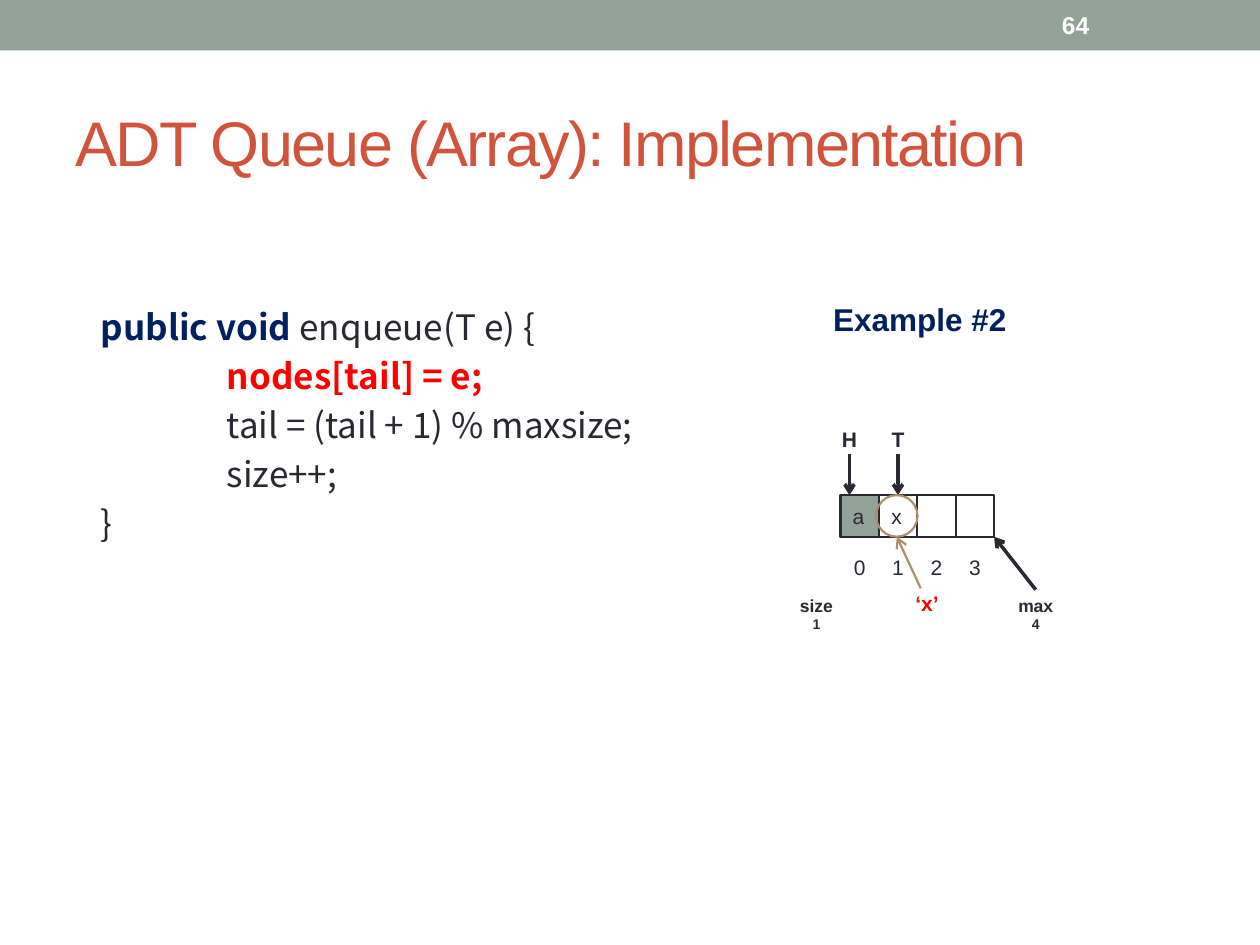
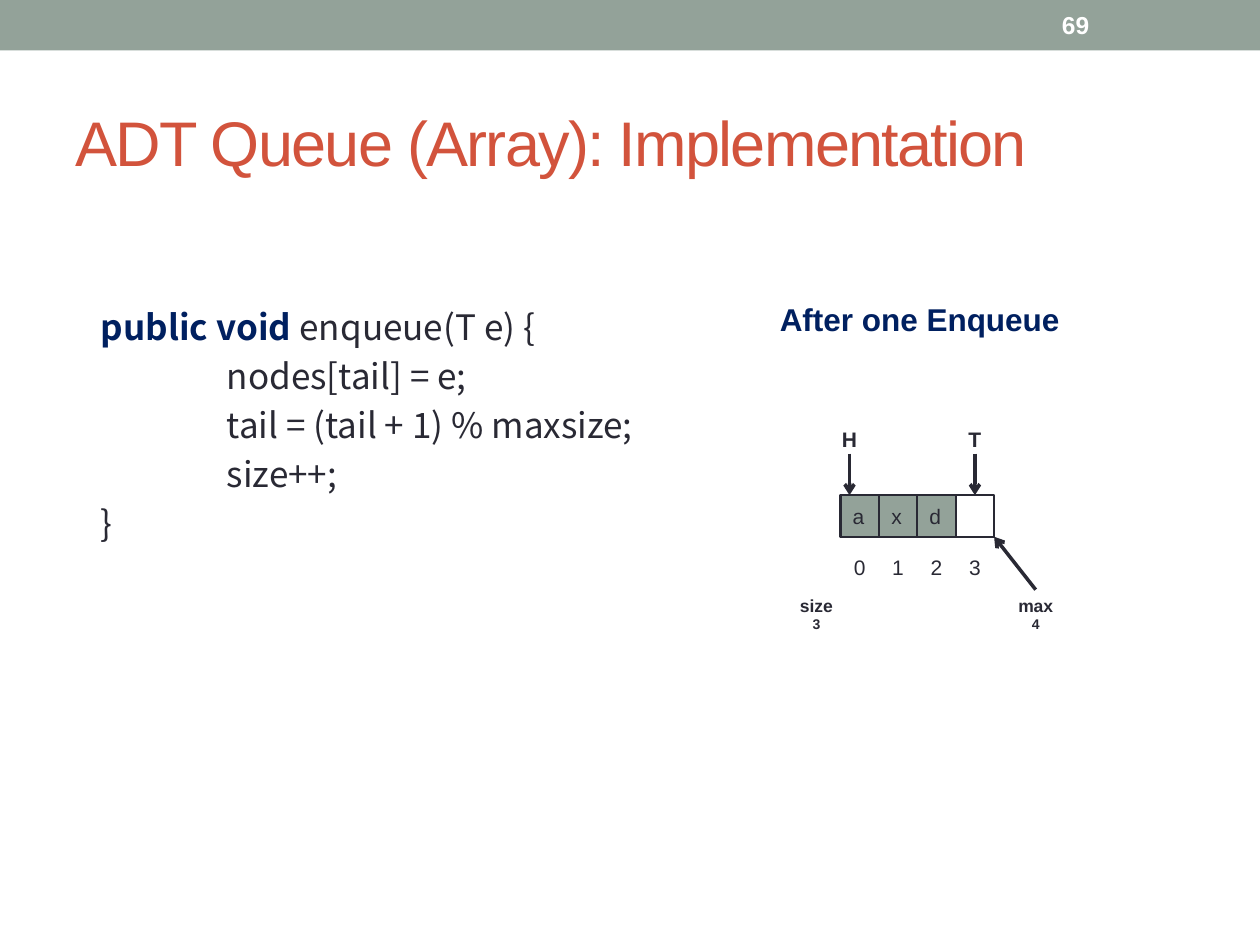
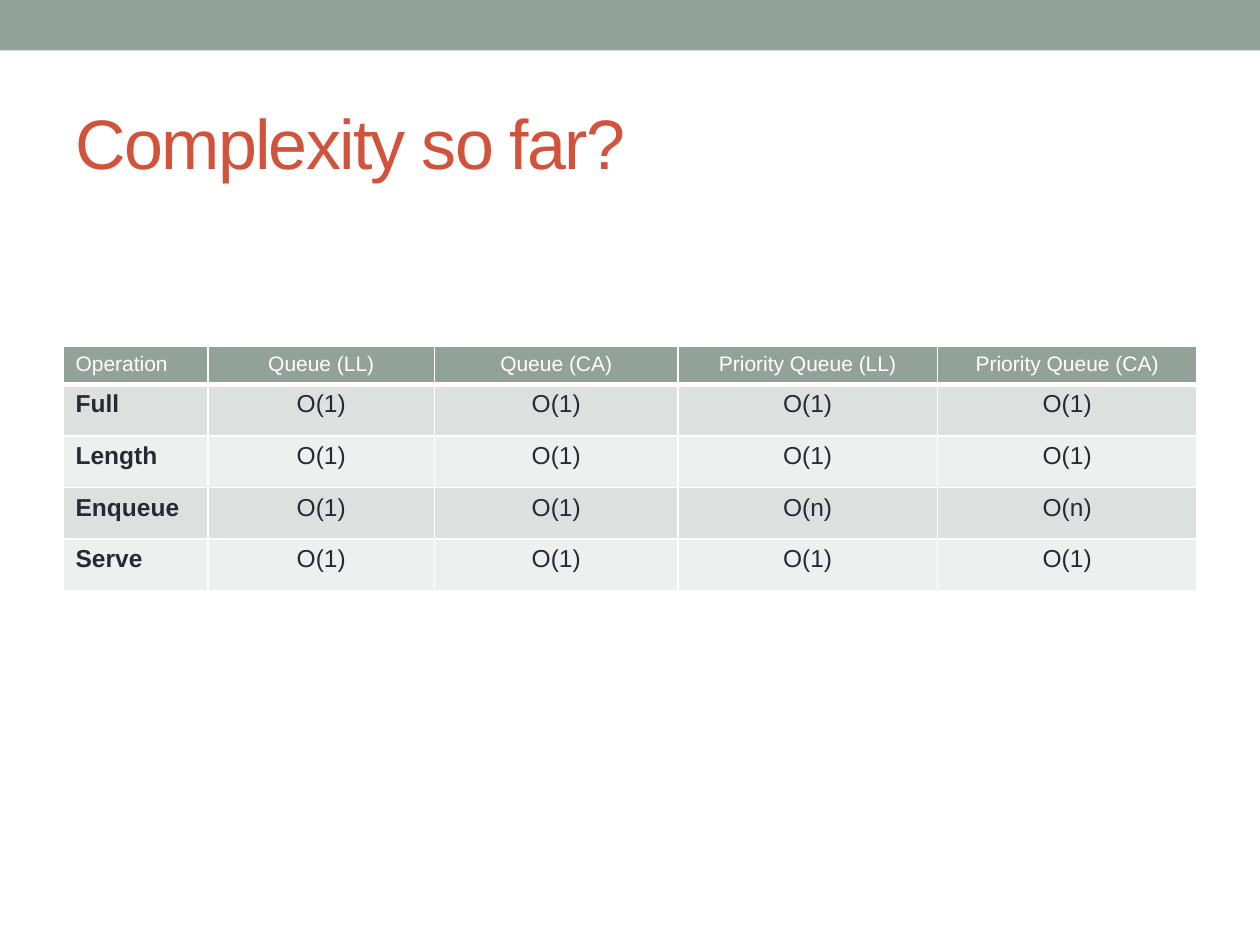
"""Build three lecture slides on array queues and their complexity."""
from dataclasses import dataclass

from lxml import etree
from pptx import Presentation
from pptx import util as u
from pptx.dml.color import RGBColor
from pptx.enum import shapes, text
from pptx.oxml.ns import qn


@dataclass(frozen=True)
class Theme:
    sage: str = "93A299"
    ink: str = "292934"
    rust: str = "D2533C"
    navy: str = "002060"
    red: str = "FF0000"
    tan: str = "AD8F67"
    white: str = "FFFFFF"
    bands: tuple = ("DCE0DE", "EEF0EF")
    font: str = "Arial"
    code_font: str = "Noto Sans CJK SC"
    code: int = 20
    code_pitch: int = 28
    heading: int = 18
    body: int = 14
    label: int = 12
    caption: int = 10
    count: int = 8
    thin: float = 1.25
    thick: float = 2


T = Theme()
W, H = 10, 7.5
MARGIN = W / 20
CENTER, LEFT = text.PP_ALIGN.CENTER, text.PP_ALIGN.LEFT

CODE = [
    (0, "public void ", "enqueue(T e) {"),
    (1, "", "nodes[tail] = e;"),
    (1, "", "tail = (tail + 1) % maxsize;"),
    (1, "", "size++;"),
    (0, "", "}"),
]
QUEUES = [
    dict(number="64", heading="Example #2", items=["a", "x"], filled=1, tail=1,
         size="1", active=1, incoming="‘x’"),
    dict(number="69", heading="After one Enqueue", items=["a", "x", "d"], filled=3,
         tail=3, size="3", active=None, incoming=None),
]
MAX_SIZE = 4
COMPLEXITY = [
    ["Operation", "Queue (LL)", "Queue (CA)", "Priority Queue (LL)", "Priority Queue (CA)"],
    ["Full", "O(1)", "O(1)", "O(1)", "O(1)"],
    ["Length", "O(1)", "O(1)", "O(1)", "O(1)"],
    ["Enqueue", "O(1)", "O(1)", "O(n)", "O(n)"],
    ["Serve", "O(1)", "O(1)", "O(1)", "O(1)"],
]
COL_WIDTHS = [1.15, 1.8, 1.93, 2.06, 2.06]
ROW_HEIGHTS = [0.3] + [0.41] * 4

ARRAY_X, ARRAY_Y = 6.67, 3.93
CELL_W, CELL_H = 0.305, 0.33
ARRAY_RIGHT, ARRAY_BOTTOM = ARRAY_X + MAX_SIZE * CELL_W, ARRAY_Y + CELL_H


def rgb(color):
    return RGBColor.from_string(color)


def inches(*values):
    return [u.Inches(v) for v in values]


def style(r, size, color, bold=False, font=T.font):
    r.font.size, r.font.bold, r.font.name = u.Pt(size), bold, font
    r.font.color.rgb = rgb(color)


def place(sp, *box):
    sp.left, sp.top, sp.width, sp.height = inches(*box)


def add_shape(slide, kind, box, fill=None, line=None):
    sp = slide.shapes.add_shape(kind, *inches(*box))
    sp.shadow.inherit = False
    if fill:
        sp.fill.solid()
        sp.fill.fore_color.rgb = rgb(fill)
    else:
        sp.fill.background()
    if line:
        sp.line.color.rgb, sp.line.width = rgb(line), u.Pt(T.thin)
    else:
        sp.line.fill.background()


def add_label(slide, x, y, *lines, w=0.5, h=0.3, align=CENTER):
    """Add lines of (text, size, color, bold) centred on x."""
    tf = slide.shapes.add_textbox(*inches(x - w / 2, y, w, h)).text_frame
    tf.word_wrap = False
    tf.text = "\n".join(line[0] for line in lines)
    for p, (_, size, color, bold) in zip(tf.paragraphs, lines):
        p.alignment = align
        style(p.runs[0], size, color, bold)
    return tf


def add_arrow(slide, start, end, color=T.ink, width=T.thick):
    c = slide.shapes.add_connector(shapes.MSO_CONNECTOR.STRAIGHT, *inches(*start, *end))
    c.line.color.rgb, c.line.width = rgb(color), u.Pt(width)
    etree.SubElement(c.line._get_or_add_ln(), qn("a:tailEnd"), type="arrow")
    etree.SubElement(c._element.spPr, qn("a:effectLst"))


def add_slide(prs, layout, title, size, number=None):
    slide = prs.slides.add_slide(prs.slide_layouts[layout])
    add_shape(slide, shapes.MSO_SHAPE.RECTANGLE, (0, 0, W, 0.4), T.sage)
    sp = slide.shapes.title
    place(sp, MARGIN, 0.58, W - 2 * MARGIN, 1.08)
    tf = sp.text_frame
    tf.text = title
    tf.auto_size = text.MSO_AUTO_SIZE.NONE
    tf.vertical_anchor = text.MSO_ANCHOR.MIDDLE
    p = tf.paragraphs[0]
    p.alignment = LEFT
    style(p.runs[0], size, T.rust)
    p.runs[0].font._element.set("spc", "-100")
    if number:
        tf = add_label(slide, 8.915, 0.02, (number, T.body, T.white, True),
                       w=1.17, h=0.36, align=LEFT)
        tf.vertical_anchor = text.MSO_ANCHOR.MIDDLE
    return slide


def add_code(slide, active):
    sp = slide.placeholders[1]
    place(sp, MARGIN, 1.58, 8.58, 4.58)
    tf = sp.text_frame
    tf.auto_size = text.MSO_AUTO_SIZE.NONE
    tf.vertical_anchor = text.MSO_ANCHOR.TOP
    tf.margin_top = u.Inches(0.79)
    for i, (level, keyword, rest) in enumerate(CODE):
        p = tf.paragraphs[0] if i == 0 else tf.add_paragraph()
        p.space_before, p.line_spacing = u.Pt(0), u.Pt(T.code_pitch)
        pPr = p._p.get_or_add_pPr()
        pPr.set("marL", str(u.Inches(0.2 + level)))
        pPr.set("indent", "0")
        etree.SubElement(pPr, qn("a:buNone"))
        on = i == active
        for words, color, bold in ((keyword, T.navy, True),
                                   (rest, T.red if on else T.ink, on)):
            if words:
                r = p.add_run()
                r.text = words
                style(r, T.code, color, bold, T.code_font)


def add_queue(slide, q):
    centers = [ARRAY_X + (i + 0.5) * CELL_W for i in range(MAX_SIZE)]
    add_label(slide, 7.3, 2.33, (q["heading"], T.heading, T.navy, True), w=2.5, h=0.4)
    for i, x in enumerate(centers):
        add_shape(slide, shapes.MSO_SHAPE.RECTANGLE,
                  (x - CELL_W / 2, ARRAY_Y, CELL_W, CELL_H),
                  T.sage if i < q["filled"] else T.white, T.ink)
        add_label(slide, x, 4.35, (str(i), T.label, T.ink, False))
    for x, item in zip(centers, q["items"]):
        add_label(slide, x - 0.01, 3.95, (item, T.label, T.ink, False))
    for name, x in (("H", centers[0] - 0.08), ("T", centers[q["tail"]])):
        add_label(slide, x, 3.34, (name, T.label, T.ink, True))
        add_arrow(slide, (x, 3.6), (x, ARRAY_Y))
    for name, count, x in (("size", q["size"], 6.48), ("max", str(MAX_SIZE), 8.22)):
        add_label(slide, x, 4.67, (name, T.caption, T.ink, True),
                  (count, T.count, T.ink, True), h=0.4)
    add_arrow(slide, (8.22, 4.68), (ARRAY_RIGHT, ARRAY_BOTTOM))
    if q["incoming"]:
        x = centers[q["tail"]]
        add_arrow(slide, (x + 0.18, 4.67), (x - 0.01, ARRAY_BOTTOM), T.tan, T.thin)
        add_label(slide, x + 0.23, 4.64, (q["incoming"], T.label, T.red, True))
        add_shape(slide, shapes.MSO_SHAPE.OVAL,
                  (x - 0.01 - CELL_H / 2, ARRAY_Y, CELL_H, CELL_H), line=T.tan)


def add_border(cell, side, points):
    ln = etree.SubElement(cell._tc.get_or_add_tcPr(), qn(f"a:ln{side}"), w=str(u.Pt(points)))
    fill = etree.SubElement(ln, qn("a:solidFill"))
    etree.SubElement(fill, qn("a:srgbClr"), val=T.white)


def add_complexity(slide):
    table = slide.shapes.add_table(
        len(COMPLEXITY), len(COL_WIDTHS),
        *inches(MARGIN, 2.75, sum(COL_WIDTHS), sum(ROW_HEIGHTS))).table
    for col, width in zip(table.columns, COL_WIDTHS):
        col.width = u.Inches(width)
    for i, (row, height) in enumerate(zip(COMPLEXITY, ROW_HEIGHTS)):
        table.rows[i].height = u.Inches(height)
        for j, words in enumerate(row):
            cell = table.cell(i, j)
            for side in "LRTB":
                thick = (i, side) in ((0, "B"), (1, "T"))
                add_border(cell, side, 3 if thick else 1)
            cell.fill.solid()
            cell.fill.fore_color.rgb = rgb(T.bands[(i - 1) % 2] if i else T.sage)
            cell.text_frame.text = words
            p = cell.text_frame.paragraphs[0]
            p.alignment = CENTER if j else LEFT
            style(p.runs[0], T.body if i else T.label, T.ink if i else T.white,
                  bool(i) and j == 0)


def main():
    prs = Presentation()
    prs.slide_width, prs.slide_height = inches(W, H)
    for q in QUEUES:
        slide = add_slide(prs, 1, "ADT Queue (Array): Implementation", 36, q["number"])
        add_code(slide, q["active"])
        add_queue(slide, q)
    add_complexity(add_slide(prs, 5, "Complexity so far?", 40))
    prs.save("out.pptx")


if __name__ == "__main__":
    main()
